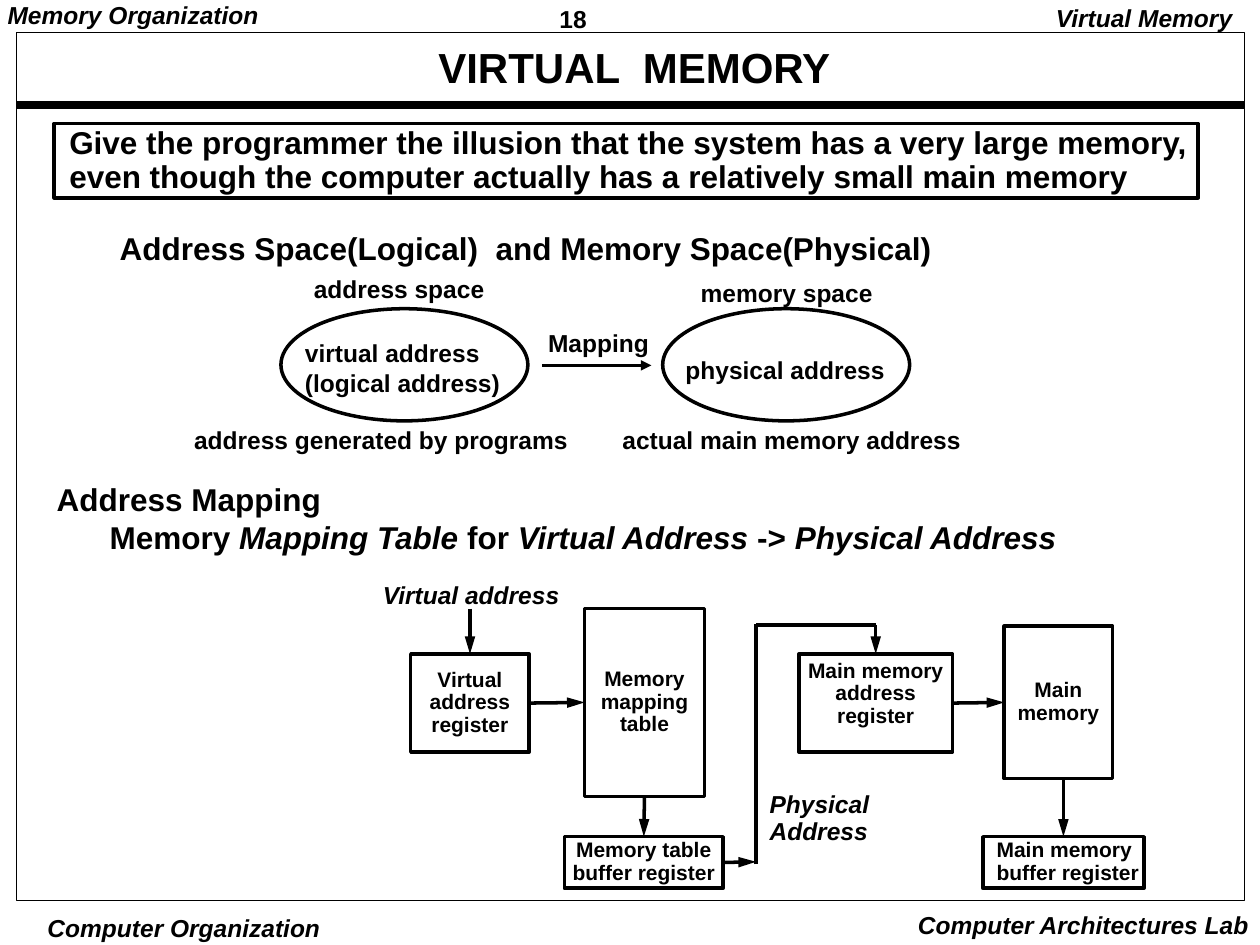
from lxml import etree
from pptx import Presentation
from pptx.dml.color import RGBColor
from pptx.enum.shapes import MSO_CONNECTOR, MSO_SHAPE
from pptx.enum.text import MSO_ANCHOR, MSO_AUTO_SIZE, PP_ALIGN
from pptx.oxml.ns import qn
from pptx.util import Inches, Pt

COLORS = {"ink": "000000", "paper": "FFFFFF"}
LEFT, CENTER, RIGHT = PP_ALIGN.LEFT, PP_ALIGN.CENTER, PP_ALIGN.RIGHT
TOP, MIDDLE = MSO_ANCHOR.TOP, MSO_ANCHOR.MIDDLE
NO_AUTOFIT = MSO_AUTO_SIZE.NONE
STRAIGHT = MSO_CONNECTOR.STRAIGHT
RECTANGLE, ELLIPSE = MSO_SHAPE.RECTANGLE, MSO_SHAPE.OVAL
TOP_SIDE, LEFT_SIDE, BOTTOM_SIDE, RIGHT_SIDE = range(4)
TIGHT, LOOSE = (0.07, 0.03), (0.1, 0.05)


def write(frame, text, size=14, italic=False, align=LEFT, anchor=TOP,
          spacing=0.9, inset=TIGHT, wrap=False, indents=(), font="Arial"):
    frame.auto_size = NO_AUTOFIT
    frame.word_wrap = wrap
    frame.vertical_anchor = anchor
    frame.margin_left = frame.margin_right = Inches(inset[0])
    frame.margin_top = frame.margin_bottom = Inches(inset[1])
    for number, line in enumerate(text.split("\n")):
        paragraph = frame.add_paragraph() if number else frame.paragraphs[0]
        paragraph.alignment = align
        paragraph.line_spacing = spacing
        if indents:
            paragraph._p.get_or_add_pPr().set("marL", str(Inches(indents[number])))
        for position, part in enumerate(line.split("*")):
            run = paragraph.add_run()
            run.text = part
            run.font.name = font
            run.font.size = Pt(size)
            run.font.bold = True
            run.font.italic = italic or position % 2 == 1
            run.font.color.rgb = RGBColor.from_string(COLORS["ink"])


class Diagram:
    def __init__(self, slide):
        self.slide = slide
        self.ink = RGBColor.from_string(COLORS["ink"])
        self.weight = 2
        background = slide.background.fill
        background.solid()
        background.fore_color.rgb = RGBColor.from_string(COLORS["paper"])

    def title(self, text, left, top, width, height):
        heading = self.slide.shapes.title
        heading.left, heading.top = Inches(left), Inches(top)
        heading.width, heading.height = Inches(width), Inches(height)
        write(heading.text_frame, text, size=24, align=CENTER, anchor=MIDDLE, wrap=True)

    def label(self, text, left, top, width, height, **style):
        area = map(Inches, (left, top, width, height))
        write(self.slide.shapes.add_textbox(*area).text_frame, text, **style)

    def outline(self, kind, left, top, width, height, weight=None):
        area = map(Inches, (left, top, width, height))
        shape = self.slide.shapes.add_shape(kind, *area)
        shape.shadow.inherit = False
        shape.fill.background()
        shape.line.color.rgb = self.ink
        shape.line.width = Pt(weight or self.weight)
        return shape

    def box(self, text, left, top, width, height, **style):
        shape = self.outline(RECTANGLE, left, top, width, height)
        options = {"size": 12, "align": CENTER, "anchor": MIDDLE, "inset": (0.05, 0.02)}
        write(shape.text_frame, text, **{**options, **style})
        return shape

    def line(self, start=(0, 0), end=(0, 0), weight=None, head=None, source=None, target=None):
        points = map(Inches, (*start, *end))
        connector = self.slide.shapes.add_connector(STRAIGHT, *points)
        if source:
            connector.begin_connect(*source)
        if target:
            connector.end_connect(*target)
        connector.line.color.rgb = self.ink
        connector.line.width = Pt(weight or self.weight)
        if head:
            etree.SubElement(connector.line._get_or_add_ln(), qn("a:tailEnd"),
                             type="triangle", w="med", len=head)
        etree.SubElement(connector._element.spPr, qn("a:effectLst"))


def draw_frame(diagram):
    diagram.label("18", 4.37, 0, 1.08, 0.29, spacing=1.01)
    diagram.label("Memory Organization", -0.01, 0, 2.13, 0.27, italic=True)
    diagram.label("Virtual Memory", 8.27, 0, 1.61, 0.31, italic=True, align=RIGHT, inset=LOOSE)
    diagram.label("Computer Organization", 0.35, 7.24, 2.22, 0.26, italic=True,
                  align=CENTER, spacing=1.0, inset=(0.03, 0.01))
    diagram.label("Computer Architectures Lab", 7.18, 7.17, 2.83, 0.33, italic=True,
                  align=RIGHT, spacing=1.0, inset=LOOSE)
    diagram.line((0.13, 0.83), (9.87, 0.83), weight=4.5)
    diagram.outline(RECTANGLE, 0.13, 0.26, 9.75, 6.89, weight=0.5)
    diagram.title("VIRTUAL  MEMORY", 0.58, 0.3, 8.91, 0.51)


def draw_spaces(diagram):
    diagram.outline(RECTANGLE, 0.43, 0.98, 9.08, 0.59)
    diagram.label("Give the programmer the illusion that the system has a very large memory,\n"
                  "even though the computer actually has a relatively small main memory",
                  0.48, 0.98, 9.1, 0.6, size=18)
    diagram.label("Address Space(Logical)  and Memory Space(Physical)",
                  0.88, 1.78, 6.59, 0.36, size=18, spacing=1.02)
    for left in (2.23, 5.26):
        diagram.outline(ELLIPSE, left, 2.45, 1.96, 0.89)
    diagram.line((4.3, 2.9), (5.17, 2.9), head="med")
    diagram.label("virtual address\n(logical address)", 2.35, 2.65, 1.69, 0.53, spacing=1.01)
    captions = [
        ("physical address", 5.37, 2.8, 1.72),
        ("address space", 2.42, 2.16, 1.49),
        ("memory space", 5.49, 2.19, 1.51),
        ("Mapping", 4.28, 2.59, 0.94),
        ("address generated by programs", 1.47, 3.36, 3.11),
        ("actual main memory address", 4.87, 3.36, 2.83),
    ]
    for text, left, top, width in captions:
        diagram.label(text, left, top, width, 0.28, spacing=0.97)


def draw_mapping(diagram):
    diagram.label("Address Mapping\n"
                  "Memory *Mapping Table* for *Virtual Address* -> *Physical Address*",
                  0.38, 3.78, 8.11, 0.66, size=18, spacing=1.01, indents=(0, 0.42))
    diagram.label("Virtual address", 2.94, 4.58, 1.61, 0.31, italic=True, inset=LOOSE)
    diagram.label("Physical\nAddress", 6.01, 6.24, 1.04, 0.52, italic=True, inset=LOOSE)

    virtual_register = diagram.box("Virtual\naddress\nregister", 3.26, 5.19, 0.94, 0.78)
    mapping_table = diagram.box("Memory\nmapping\ntable", 4.64, 4.83, 0.95, 1.49)
    table_buffer = diagram.box("Memory table\nbuffer register", 4.48, 6.64, 1.26, 0.41)
    memory_register = diagram.box("Main memory\naddress\nregister", 6.34, 5.19, 1.22, 0.78,
                                  anchor=TOP, inset=LOOSE)
    main_memory = diagram.box("Main\nmemory", 7.97, 4.97, 0.86, 1.21)
    memory_buffer = diagram.box("Main memory\nbuffer register", 7.8, 6.64, 1.28, 0.41,
                                align=LEFT, inset=(0.11, 0.02))

    diagram.line(start=(3.73, 4.83), target=(virtual_register, TOP_SIDE), head="lg")
    diagram.line(source=(virtual_register, RIGHT_SIDE), target=(mapping_table, LEFT_SIDE), head="lg")
    diagram.line(source=(mapping_table, BOTTOM_SIDE), target=(table_buffer, TOP_SIDE), head="lg")
    diagram.line(source=(table_buffer, RIGHT_SIDE), end=(6, 6.84), head="lg")
    diagram.line((6, 6.86), (6, 4.95))
    diagram.line((6, 4.96), (6.95, 4.96))
    diagram.line(start=(6.95, 4.96), target=(memory_register, TOP_SIDE), head="lg")
    diagram.line(source=(memory_register, RIGHT_SIDE), target=(main_memory, LEFT_SIDE), head="lg")
    diagram.line(start=(8.44, 6.18), target=(memory_buffer, TOP_SIDE), head="lg")


def main():
    presentation = Presentation()
    presentation.slide_width, presentation.slide_height = Inches(10), Inches(7.5)
    diagram = Diagram(presentation.slides.add_slide(presentation.slide_layouts[5]))
    draw_frame(diagram)
    draw_spaces(diagram)
    draw_mapping(diagram)
    presentation.save("out.pptx")


if __name__ == "__main__":
    main()
